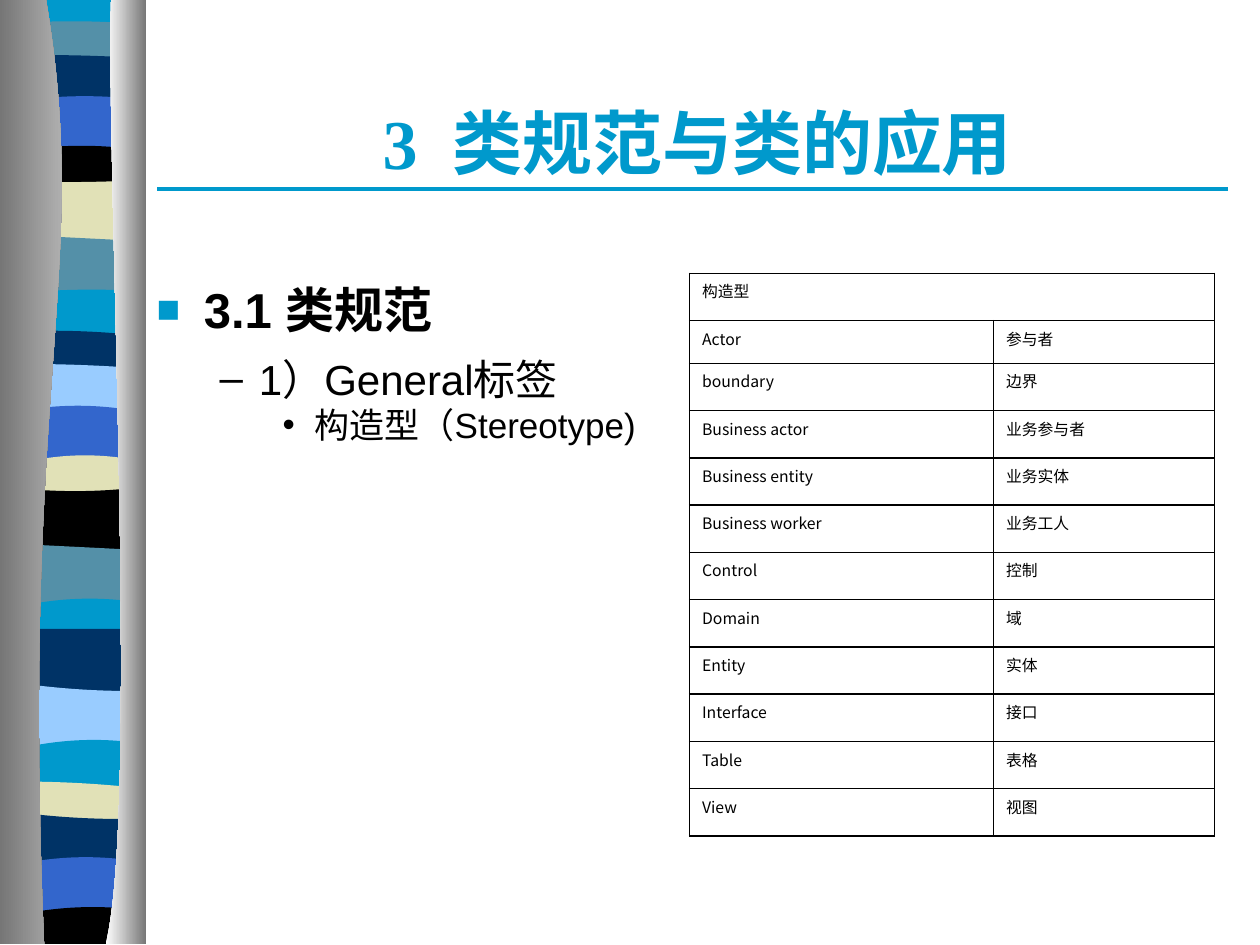
import lxml.etree
import pptx
import pptx.dml.color
import pptx.enum.text
import pptx.oxml.ns
import pptx.util

Cm, Pt = pptx.util.Cm, pptx.util.Pt
qn = pptx.oxml.ns.qn

HUES = {
    "teal": "0099CC", "slate": "5490A8", "navy": "003366", "blue": "3366CC",
    "black": "000000", "sand": "E1E1B7", "sky": "99CCFF",
    "gray": "767676", "pale": "CCCCCC", "white": "FFFFFF",
}
CJK = "Noto Sans CJK SC"
TITLE = "3  类规范与类的应用"
ITEMS = [
    dict(text="3.1 类规范", size=28, bold=True, left=0.95, hang=0.95,
         mark="■", hue="teal", scale=80, before=0, after=7),
    dict(text="1）General标签", size=24, bold=False, left=2.06, hang=0.79,
         mark="–", hue="black", scale=100, before=1.5, after=0),
    dict(text="构造型（Stereotype)", size=20, bold=False, left=3.18, hang=0.64,
         mark="•", hue="black", scale=100, before=0, after=0),
]
ROWS = [
    ("构造型", ""), ("Actor", "参与者"), ("boundary", "边界"),
    ("Business actor", "业务参与者"), ("Business entity", "业务实体"),
    ("Business worker", "业务工人"), ("Control", "控制"), ("Domain", "域"),
    ("Entity", "实体"), ("Interface", "接口"), ("Table", "表格"), ("View", "视图"),
]
COLS = (6.13, 4.45)
DEPTH = 11.35
SHORT = 0.86
BANDS = [
    ("teal", 0, 0, 0), ("slate", 0.44, 0.43, 0.46), ("navy", 1.11, 1.12, 1.15),
    ("blue", 1.98, 1.94, 1.97), ("black", 2.98, 2.94, 2.98),
    ("sand", 3.67, 3.67, 3.65), ("slate", 4.76, 4.8, 4.84),
    ("teal", 5.87, 5.84, 5.85), ("navy", 6.67, 6.68, 6.73),
    ("sky", 7.34, 7.36, 7.4), ("blue", 8.22, 8.18, 8.24),
    ("sand", 9.25, 9.18, 9.23), ("black", 9.88, 9.9, 9.86),
    ("slate", 10.99, 11.03, 11.07), ("teal", 12.14, 12.07, 12.1),
    ("navy", 12.68, 12.68, 12.68), ("sky", 13.83, 13.9, 13.93),
    ("teal", 15, 14.92, 14.94), ("sand", 15.76, 15.79, 15.85),
    ("navy", 16.43, 16.49, 16.51), ("blue", 17.34, 17.28, 17.32),
    ("black", 18.36, 18.29, 18.31),
]
SPAN = (0.15, 2.9)
FOOT = 19.03
SIDES = [
    (0, [(0.93, 0), (1.85, 5.49), (0.4, 7.52), (0.89, FOOT)], ("gray", "pale")),
    (2.95, [(2.24, 0), (2.13, 3.18), (2.82, 16.41), (2.13, FOOT)], ("white", "gray")),
]


def rgb(hue):
    return pptx.dml.color.RGBColor.from_string(HUES[hue])


def node(root, tag, **attrs):
    return lxml.etree.SubElement(root, qn(tag), **attrs)


def add_run(para, text, size, face, hue="black", bold=False):
    run = para.add_run()
    run.text = text
    font = run.font
    font.size, font.name, font.bold = Pt(size), face, bold
    font.color.rgb = rgb(hue)
    node(run._r.get_or_add_rPr(), "a:ea", typeface=CJK)


def outline(slide, curve, ends):
    spots = [(Cm(x), Cm(y)) for x, y in curve + ends]
    pen = slide.shapes.build_freeform(*spots[0])
    pen.add_line_segments(spots[1:], close=True)
    shape = pen.convert_to_shape()
    steps = list(shape._element.iter(qn("a:lnTo")))[:3]
    bend = lxml.etree.Element(qn("a:cubicBezTo"))
    steps[0].addprevious(bend)
    for step in steps:
        bend.append(step[0])
        step.getparent().remove(step)
    shape.shadow.inherit = False
    shape.line.fill.background()
    return shape


def crest(left, mid, right):
    slope, bow = (right - left) / 2, (left + right) / 2 - mid
    a, b = [(x - 1.65) / 0.8 for x in SPAN]

    def rise(t, u):
        return mid + slope * (t + u) / 2 + bow * t * u

    ya, yb, yc = rise(a, a), rise(b, b), rise(a, b)
    third = (SPAN[1] - SPAN[0]) / 3
    heights = (ya, (ya + 2 * yc) / 3, (yb + 2 * yc) / 3, yb)
    return [(SPAN[0] + third * i, y) for i, y in enumerate(heights)]


def draw_ribbon(slide):
    lows = [max(band[1:]) + 0.1 for band in BANDS[1:]] + [FOOT]
    for (hue, *tops), low in zip(BANDS, lows):
        shape = outline(slide, crest(*tops), [(SPAN[1], low), (SPAN[0], low)])
        shape.fill.solid()
        shape.fill.fore_color.rgb = rgb(hue)
    for edge, curve, hues in SIDES:
        shape = outline(slide, curve, [(edge, FOOT), (edge, 0)])
        shape.fill.gradient()
        shape.fill.gradient_angle = 0
        for stop, hue in zip(shape.fill.gradient_stops, hues):
            stop.color.rgb = rgb(hue)


def draw_title(slide):
    title = slide.shapes.title
    title.left, title.top, title.width, title.height = map(Cm, (3.26, 1.27, 21.59, 3.18))
    frame = title.text_frame
    frame.vertical_anchor = pptx.enum.text.MSO_ANCHOR.MIDDLE
    para = frame.paragraphs[0]
    para.alignment = pptx.enum.text.PP_ALIGN.CENTER
    add_run(para, TITLE, 40, "Times New Roman", "teal", True)
    rule = slide.shapes.add_connector(1, Cm(3.17), Cm(3.81), Cm(24.76), Cm(3.81))
    rule.line.color.rgb = rgb("teal")
    rule.line.width = Pt(2.25)
    node(rule._element.spPr, "a:effectLst")


def draw_items(slide):
    box = slide.shapes.add_textbox(Cm(2.91), Cm(5.51), Cm(10.59), Cm(11.43))
    frame = box.text_frame
    frame.word_wrap = True
    for i, item in enumerate(ITEMS):
        para = frame.add_paragraph() if i else frame.paragraphs[0]
        props = para._p.get_or_add_pPr()
        props.set("marL", str(Cm(item["left"])))
        props.set("indent", str(-Cm(item["hang"])))
        node(node(props, "a:buClr"), "a:srgbClr", val=HUES[item["hue"]])
        node(props, "a:buSzPct", val=str(item["scale"] * 1000))
        node(props, "a:buFont", typeface="Arial")
        node(props, "a:buChar", char=item["mark"])
        para.space_before = Pt(item["before"])
        para.space_after = Pt(item["after"])
        add_run(para, item["text"], item["size"], "Arial", bold=item["bold"])


def draw_table(slide):
    full = (DEPTH - SHORT) / (len(ROWS) - 1)
    table = slide.shapes.add_table(
        len(ROWS), len(COLS), Cm(13.9), Cm(5.51), Cm(sum(COLS)), Cm(DEPTH)).table
    table.first_row = table.horz_banding = False
    for col, width in zip(table.columns, COLS):
        col.width = Cm(width)
    for i, words in enumerate(ROWS):
        table.rows[i].height = Cm(SHORT if i == 1 else full)
        for j, word in enumerate(words):
            cell = table.cell(i, j)
            props = cell._tc.get_or_add_tcPr()
            for side in "LRTB":
                line = node(props, "a:ln" + side, w=str(Pt(0.96)))
                node(node(line, "a:solidFill"), "a:srgbClr", val=HUES["black"])
            cell.fill.background()
            if word:
                add_run(cell.text_frame.paragraphs[0], word, 9, CJK)
    table.cell(0, 0).merge(table.cell(0, 1))


def main():
    deck = pptx.Presentation()
    deck.slide_width, deck.slide_height = Cm(25.4), Cm(19.05)
    slide = deck.slides.add_slide(deck.slide_layouts[5])
    draw_ribbon(slide)
    draw_title(slide)
    draw_items(slide)
    draw_table(slide)
    deck.save("out.pptx")


if __name__ == "__main__":
    main()
